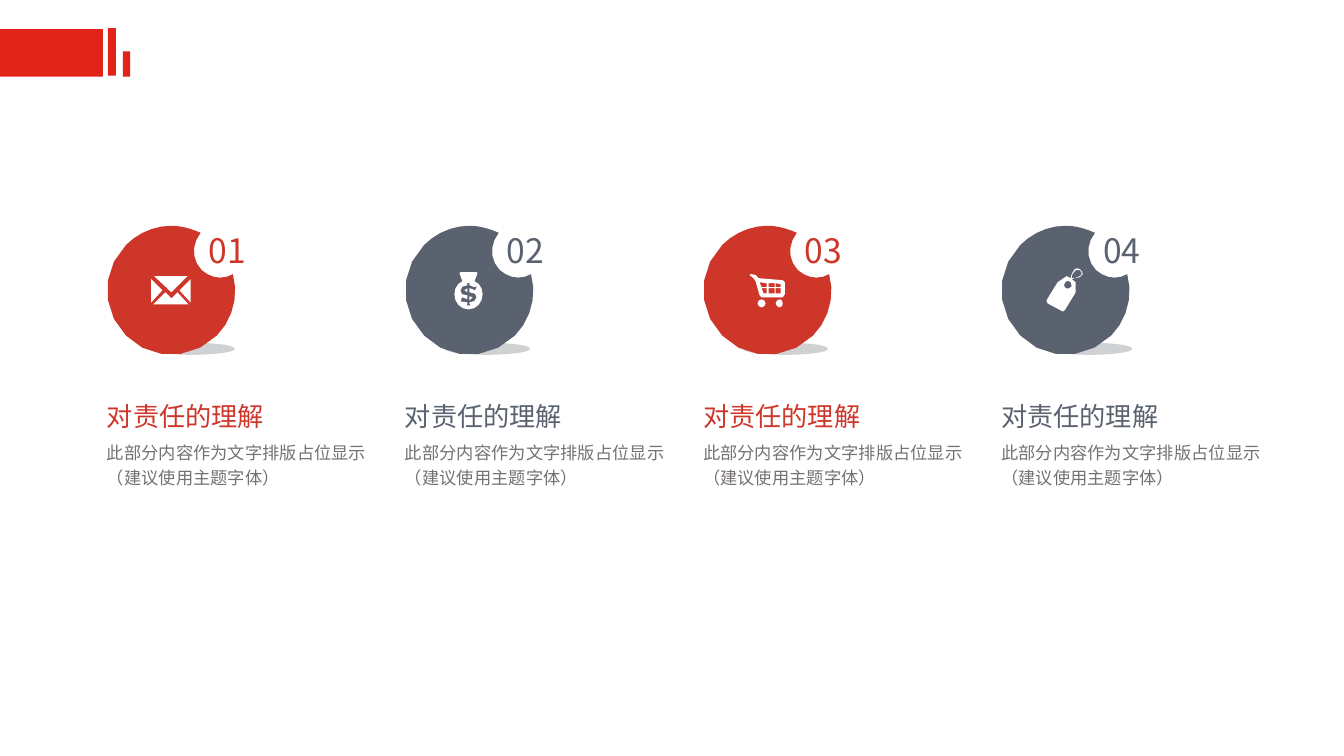
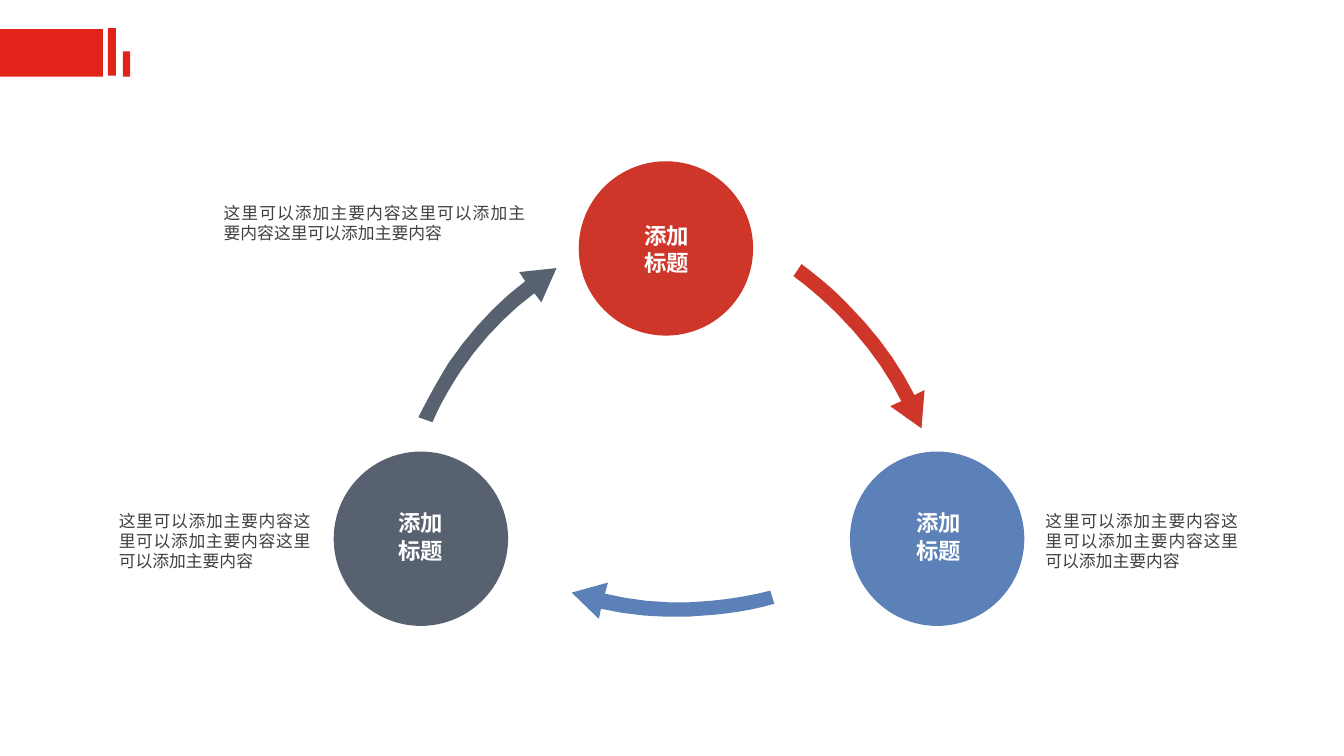
"""Build two slides: four numbered features and a three-step cycle."""
from dataclasses import dataclass
from math import dist, sqrt

from lxml.etree import SubElement
from pptx import Presentation
from pptx.dml.color import RGBColor
from pptx.enum.shapes import MSO_SHAPE as Preset
from pptx.enum.text import MSO_ANCHOR as Anchor, PP_ALIGN as Align
from pptx.oxml.ns import qn
from pptx.shapes.autoshape import Shape
from pptx.slide import Slide, SlideLayout
from pptx.util import Inches, Pt

FONT = "Noto Sans CJK SC"
BRAND, RED, SLATE, SLATE_TEXT, BLUE = "E2231A", "CF362A", "586170", "5A616F", "5B81B8"
WHITE, GREY, DARK, SHADE = "FFFFFF", "767171", "404040", "53585F"
LINE_HEIGHT = 1.22
MAX_CURVE_STEPS = 5

HEADING = "对责任的理解"
DETAIL = "此部分内容作为文字排版占位显示 \n（建议使用主题字体）"
STEP_TITLE = ("添加", "标题")
STEP_DETAIL = "这里可以添加主要内容" * 3

NOTCHED_DISC = (
    "M 64 0 C 47 0 31 7 19 19 C -6 44 -6 84 19 109 C 43 134 84 134 109 109 "
    "C 125 93 131 69 125 48 C 115 54 103 52 94 44 C 84 34 84 18 93 7 C 84 3 74 0 64 0"
)
ENVELOPE = (
    "M 39 3 L 39 26 L 28 14 M 36 0 L 20 16 L 3 0 "
    "M 37 28 L 2 28 L 14 16 L 20 22 L 26 16 M 0 3 L 11 14 L 0 26"
)
MONEY_BAG = (
    "M 15 24 L 18 25 L 15 28 M 13 16 L 13 20 L 10 18 "
    "M 20 18 L 20 19 L 22 15 L 22 14 L 20 15 L 15 13 L 15 12 L 16 11 "
    "L 12 11 L 13 12 L 13 13 C 9 13 6 15 6 18 C 6 22 8 23 13 23 L 13 27 "
    "L 8 25 L 8 24 L 6 29 L 13 30 L 13 31 L 12 33 "
    "L 16 33 L 15 31 L 15 30 C 19 30 22 28 22 25 C 22 22 20 20 15 20 L 15 16 L 18 17 "
    "M 28 22 C 28 30 22 37 14 37 C 6 37 0 30 0 22 C 0 16 3 11 8 9 L 5 1 "
    "L 6 0 L 22 0 L 23 1 L 20 9 C 25 11 28 16 28 22"
)
CART = (
    "M 31 19 L 31 14 L 26 14 L 26 19 M 31 10 L 26 9 L 26 13 L 31 13 "
    "M 19 14 L 19 19 L 25 19 L 25 14 M 25 13 L 25 9 L 19 9 L 19 13 "
    "M 14 19 L 17 19 L 17 14 L 12 14 M 10 8 L 12 13 L 17 13 L 17 9 "
    "M 30 25 C 28 25 26 27 26 29 C 26 31 28 33 30 33 C 32 33 33 31 33 29 "
    "C 33 27 32 25 30 25 "
    "M 12 25 C 10 25 8 27 8 29 C 8 31 10 33 12 33 C 14 33 16 31 16 29 "
    "C 16 27 14 25 12 25 "
    "M 35 8 L 35 20 L 33 23 L 12 23 L 10 21 L 6 7 L 4 4 L 0 1 L 1 0 L 2 0 "
    "C 5 0 8 1 9 4 L 33 6 L 35 8"
)
PRICE_TAG = (
    "M 25 8 L 25 9 L 28 9 L 33 7 L 35 5 C 35 3 34 2 33 1 L 29 1 C 26 4 25 6 25 8 "
    "M 25 17 L 24 13 L 22 12 C 21 11 19 12 18 14 "
    "C 17 15 17 18 19 19 C 21 20 24 19 25 17 "
    "M 29 23 L 18 41 L 16 42 L 1 34 L 0 31 L 11 13 L 20 7 "
    "L 24 9 L 24 8 C 25 6 25 3 28 0 C 30 -1 31 -1 33 0 L 35 2 "
    "L 36 5 L 33 8 L 28 9 L 25 10 L 29 13"
)
ARROW_DOWN = (
    "M 54 40 C 82 68 104 98 120 130 L 130 125 L 127 163 L 96 141 L 107 136 "
    "C 92 106 71 77 44 50 C 30 36 15 23 0 12 L 8 0 C 24 12 40 25 54 40"
)
ARROW_UP = (
    "M 30 94 C 52 62 78 34 106 13 L 100 4 L 137 0 L 122 34 L 115 25 "
    "C 88 45 63 71 42 102 C 31 119 21 136 14 153 L 0 148 C 9 130 19 112 30 94"
)
ARROW_LEFT = (
    "M 141 32 C 101 36 64 34 29 26 L 27 36 L 0 10 L 36 0 L 33 11 "
    "C 66 19 102 22 139 18 C 159 16 178 13 197 8 L 201 21 C 181 27 161 30 141 32"
)


@dataclass(frozen=True)
class Feature:
    """A numbered feature; offsets are inches from its column."""

    number: str
    color: str
    icon: str
    icon_left: float
    icon_top: float
    shadow_left: float


@dataclass(frozen=True)
class Step:
    """A cycle step with its disc, text areas and outgoing arrow."""

    color: str
    left: float
    top: float
    title_left: float
    title_top: float
    detail: tuple[float, float, float, float]
    arrow: str
    arrow_at: tuple[float, float]


FEATURES = (
    Feature("01", RED, ENVELOPE, 0.44, 2.74, 0.42),
    Feature("02", SLATE_TEXT, MONEY_BAG, 0.49, 2.7, 0.39),
    Feature("03", RED, CART, 0.46, 2.72, 0.39),
    Feature("04", SLATE_TEXT, PRICE_TAG, 0.45, 2.67, 0.45),
)
STEPS = (
    Step(RED, 5.74, 1.6, 6.22, 2.15, (2.12, 1.96, 3.19, 0.5), ARROW_DOWN, (7.87, 2.62)),
    Step(SLATE, 3.31, 4.48, 3.78, 5, (1.08, 5.01, 2.1, 0.71), ARROW_UP, (4.15, 2.66)),
    Step(BLUE, 8.43, 4.48, 8.92, 5, (10.27, 5.01, 2.11, 0.71), ARROW_LEFT, (5.67, 5.78)),
)
BARS = ((1.07, 0.28, 0.08, 0.47), (1.22, 0.51, 0.07, 0.25), (0, 0.29, 1.02, 0.47))


def rgb(color: str) -> RGBColor:
    """Turn a hex string into a colour."""
    return RGBColor.from_string(color)


def paint(shape: Shape, color: str, opacity: int = 100) -> None:
    """Give a shape a flat fill without outline or shadow."""
    shape.shadow.inherit = False
    shape.line.fill.background()
    shape.fill.solid()
    shape.fill.fore_color.rgb = rgb(color)
    if opacity < 100:
        tint = shape.element.find(".//" + qn("a:srgbClr"))
        SubElement(tint, qn("a:alpha")).set("val", str(opacity * 1000))


def add_preset(page: Slide, preset: Preset, area: tuple[float, float, float, float],
               color: str, opacity: int = 100) -> Shape:
    """Add a painted preset shape."""
    shape = page.shapes.add_shape(preset, *map(Inches, area))
    paint(shape, color, opacity)
    return shape


def flatten(outline: str) -> list[list[tuple[float, float]]]:
    """Turn M, L and C commands into points per contour, finer on longer curves."""
    contours: list[list[tuple[float, float]]] = []
    command, numbers = "", []
    for token in outline.split():
        if token.isalpha():
            command, numbers = token, []
            continue
        numbers.append(float(token))
        if len(numbers) < (6 if command == "C" else 2):
            continue
        if command == "M":
            contours.append([])
        if command == "C":
            corners = [contours[-1][-1], *zip(numbers[::2], numbers[1::2])]
            steps = max(1, min(MAX_CURVE_STEPS, int(sqrt(dist(corners[0], corners[3])))))
            for step in range(1, steps + 1):
                t = step / steps
                weights = ((1 - t) ** 3, 3 * t * (1 - t) ** 2, 3 * t * t * (1 - t), t ** 3)
                contours[-1].append(tuple(
                    sum(weight * corner[axis] for weight, corner in zip(weights, corners))
                    for axis in (0, 1)))
        else:
            contours[-1].append((numbers[0], numbers[1]))
    return contours


def add_outline(page: Slide, outline: str, left: float, top: float, color: str) -> None:
    """Add a painted freeform whose outline is in hundredths of an inch."""
    builder = None
    for contour in flatten(outline):
        points = [(Inches(left + x / 100), Inches(top + y / 100)) for x, y in contour]
        if builder is None:
            builder = page.shapes.build_freeform(*points[0])
        else:
            builder.move_to(*points[0])
        builder.add_line_segments(points[1:], close=True)
    paint(builder.convert_to_shape(), color)


def add_text(page: Slide, area: tuple[float, float, float, float], *texts: str,
             size: float, color: str, bold: bool = False, align: Align = Align.LEFT,
             anchor: Anchor = Anchor.TOP, inset: bool = True, wrap: bool = True,
             spacing: float = 1) -> None:
    """Add a text box with one paragraph per text."""
    frame = page.shapes.add_textbox(*map(Inches, area)).text_frame
    frame.word_wrap = wrap
    frame.vertical_anchor = anchor
    if not inset:
        frame.margin_left = frame.margin_top = frame.margin_right = frame.margin_bottom = 0
    for index, text in enumerate(texts):
        para = frame.add_paragraph() if index else frame.paragraphs[0]
        para.alignment = align
        para.line_spacing = Pt(round(size * LINE_HEIGHT * spacing, 1))
        for row, line in enumerate(text.split("\n")):
            if row:
                para.add_line_break()
            span = para.add_run()
            span.text = line
            span.font.size = Pt(size)
            span.font.bold = bold
            span.font.color.rgb = rgb(color)
            span.font.name = FONT
            SubElement(span._r.get_or_add_rPr(), qn("a:ea")).set("typeface", FONT)


def brand_layout(layout: SlideLayout, page: Slide) -> None:
    """Replace the layout's placeholders with the shared corner bars."""
    for holder in list(layout.placeholders):
        holder.element.getparent().remove(holder.element)
    for area in BARS:
        bar = add_preset(page, Preset.RECTANGLE, area, BRAND)
        layout.shapes.element.append(bar.element)


def draw_feature(page: Slide, feature: Feature, left: float) -> None:
    """Draw one feature column."""
    add_preset(page, Preset.OVAL, (left + feature.shadow_left, 3.4, 0.85, 0.12), SHADE, 27)
    add_outline(page, NOTCHED_DISC, left, 2.24, feature.color)
    add_outline(page, feature.icon, left + feature.icon_left, feature.icon_top, WHITE)
    centred = {"anchor": Anchor.MIDDLE, "inset": False}
    add_text(page, (left + 1.01, 2.29, 0.96, 0.38), feature.number,
             size=24, color=feature.color, wrap=False, **centred)
    add_text(page, (left, 3.97, 2.63, 0.31), HEADING,
             size=18.7, color=feature.color, wrap=False, **centred)
    add_text(page, (left, 4.28, 2.63, 0.63), DETAIL,
             size=12.3, color=GREY, spacing=1.2, **centred)


def draw_step(page: Slide, step: Step) -> None:
    """Draw one cycle step and the arrow that belongs to it."""
    for inset in (0, 0.1):
        side = 1.73 - 2 * inset
        add_preset(page, Preset.OVAL, (step.left + inset, step.top + inset, side, side),
                   step.color)
    add_outline(page, step.arrow, *step.arrow_at, step.color)
    add_text(page, step.detail, STEP_DETAIL, size=12, color=DARK, align=Align.JUSTIFY)
    add_text(page, (step.title_left, step.title_top, 0.78, 0.64), *STEP_TITLE,
             size=16, color=WHITE, bold=True, align=Align.CENTER)


def main() -> None:
    """Build and save the deck."""
    deck = Presentation()
    deck.slide_width, deck.slide_height = Inches(13.33), Inches(7.5)
    blank = deck.slide_layouts[6]
    features_page, cycle_page = (deck.slides.add_slide(blank) for _ in range(2))
    brand_layout(blank, features_page)
    first, last = 1.06, 9.93
    pitch = (last - first) / (len(FEATURES) - 1)
    for index, feature in enumerate(FEATURES):
        draw_feature(features_page, feature, first + index * pitch)
    for step in STEPS:
        draw_step(cycle_page, step)
    deck.save("out.pptx")


if __name__ == "__main__":
    main()
